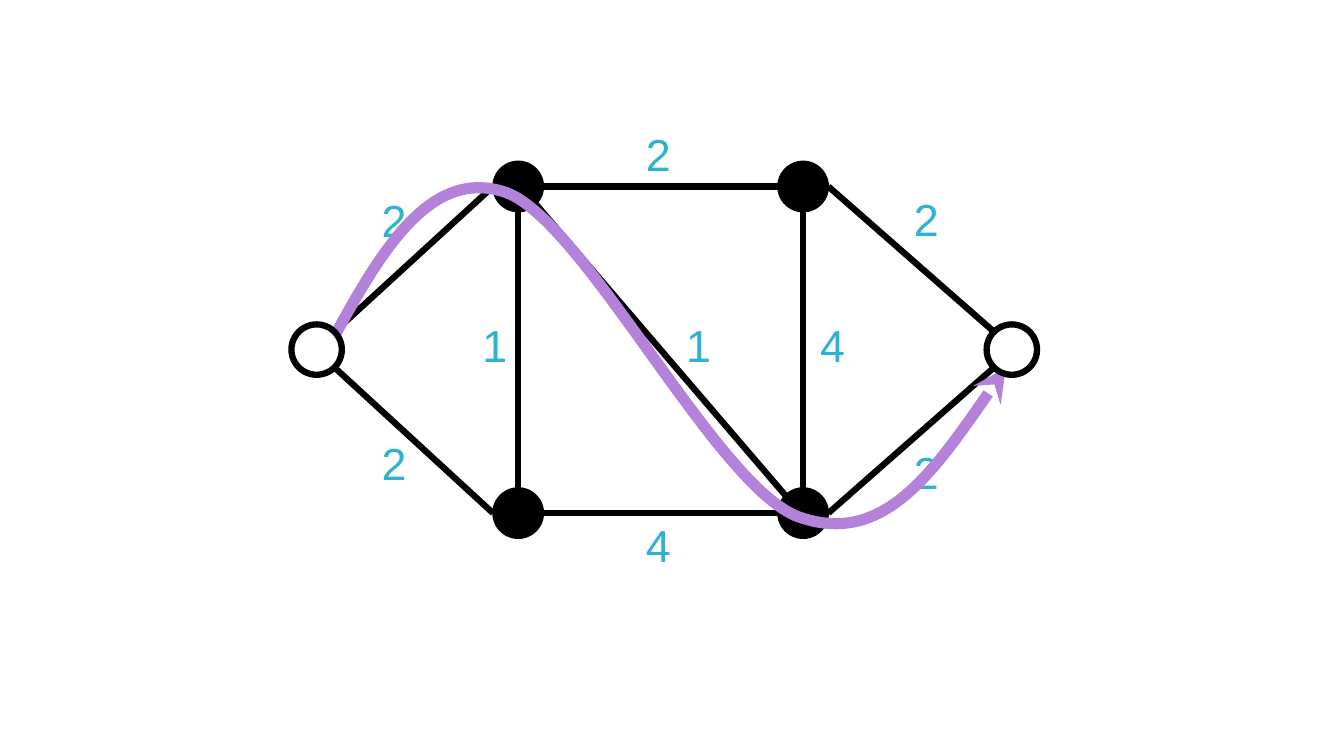
from math import sqrt
from lxml.etree import SubElement
from pptx import Presentation
from pptx.dml.color import RGBColor
from pptx.enum.shapes import MSO_CONNECTOR, MSO_SHAPE
from pptx.enum.text import MSO_AUTO_SIZE
from pptx.oxml.ns import qn
from pptx.util import Cm, Pt

COLORS = {"edge": "000000", "terminal": "FFFFFF", "weight": "2DB2CF", "route": "B482DA"}
RADIUS = 0.635
DIAGONAL = RADIUS / sqrt(2)

deck = Presentation()
deck.slide_width, deck.slide_height = Cm(33.87), Cm(19.05)
slide = deck.slides.add_slide(deck.slide_layouts[6])


def add_text(text, x, y, size=32, font="Arial", color="weight"):
    box = slide.shapes.add_textbox(Cm(x), Cm(y), Cm(0.84), Cm(1.63))
    box.text_frame.word_wrap = True
    box.text_frame.auto_size = MSO_AUTO_SIZE.SHAPE_TO_FIT_TEXT
    run = box.text_frame.paragraphs[0].add_run()
    run.text = text
    run.font.size = Pt(size)
    run.font.name = font
    run.font.color.rgb = RGBColor.from_string(COLORS[color])


def add_node(center, fill, line_width):
    x, y = center
    node = slide.shapes.add_shape(MSO_SHAPE.OVAL, Cm(x - RADIUS), Cm(y - RADIUS),
                                  Cm(2 * RADIUS), Cm(2 * RADIUS))
    node.shadow.inherit = False
    node.fill.solid()
    node.fill.fore_color.rgb = RGBColor.from_string(COLORS[fill])
    node.line.color.rgb = RGBColor.from_string(COLORS["edge"])
    node.line.width = Pt(line_width)


source, sink = (7.98, 8.81), (25.5, 8.81)
top_left, top_right = (13.06, 4.7), (20.24, 4.7)
bottom_left, bottom_right = (13.06, 12.93), (20.24, 12.93)

for inner in (top_left, bottom_left, bottom_right, top_right):
    add_node(inner, "edge", 1)

rim = {
    "left": (-RADIUS, 0), "right": (RADIUS, 0), "top": (0, -RADIUS), "bottom": (0, RADIUS),
    "top left": (-DIAGONAL, -DIAGONAL), "top right": (DIAGONAL, -DIAGONAL),
    "bottom left": (-DIAGONAL, DIAGONAL), "bottom right": (DIAGONAL, DIAGONAL),
}
edges = [
    (source, "top right", top_left, "left"),
    (top_right, "left", top_left, "right"),
    (sink, "top left", top_right, "right"),
    (bottom_right, "right", sink, "bottom left"),
    (bottom_left, "right", bottom_right, "left"),
    (source, "bottom right", bottom_left, "left"),
    (bottom_left, "top", top_left, "bottom"),
    (bottom_right, "top", top_right, "bottom"),
    (top_left, "bottom right", bottom_right, "top left"),
]
for start, start_side, end, end_side in edges:
    ends = [Cm(center + shift)
            for node, side in ((start, start_side), (end, end_side))
            for center, shift in zip(node, rim[side])]
    edge = slide.shapes.add_connector(MSO_CONNECTOR.STRAIGHT, *ends)
    edge.line.color.rgb = RGBColor.from_string(COLORS["edge"])
    edge.line.width = Pt(4.5)
    SubElement(edge._element.spPr, qn("a:effectLst"))

weights = [
    ("2", 9.37, 4.72), ("2", 16.03, 3.07), ("2", 22.78, 4.7),
    ("2", 9.37, 10.85), ("2", 22.78, 11.07), ("1", 11.91, 7.87),
    ("1", 17.04, 7.87), ("4", 20.42, 7.87), ("4", 16.03, 12.93),
]
for weight, x, y in weights:
    add_text(weight, x, y)

route_start = (8.23, 8.84)
route_curves = [
    [(9.5, 6.5), (10.77, 4.17), (12.75, 4.85)],
    [(14.73, 5.56), (18.06, 12.29), (20.14, 13.03)],
    [(22.25, 13.77), (23.8, 11.53), (25.35, 9.27)],
]
outline = slide.shapes.build_freeform(Cm(route_start[0]), Cm(route_start[1]))
outline.add_line_segments([(Cm(x), Cm(y)) for *_, (x, y) in route_curves], close=False)
route = outline.convert_to_shape()
route.shadow.inherit = False
route.fill.background()
route.line.color.rgb = RGBColor.from_string(COLORS["route"])
route.line.width = Pt(8)
SubElement(route.line._get_or_add_ln(), qn("a:tailEnd"), type="stealth")
for segment, curve in zip(list(route._element.iter(qn("a:lnTo"))), route_curves):
    bend = SubElement(segment.getparent(), qn("a:cubicBezTo"))
    for x, y in curve:
        SubElement(bend, qn("a:pt"), x=str(Cm(x) - route.left), y=str(Cm(y) - route.top))
    segment.getparent().replace(segment, bend)

for terminal in (source, sink):
    add_node(terminal, "terminal", 4.5)

deck.save("out.pptx")
